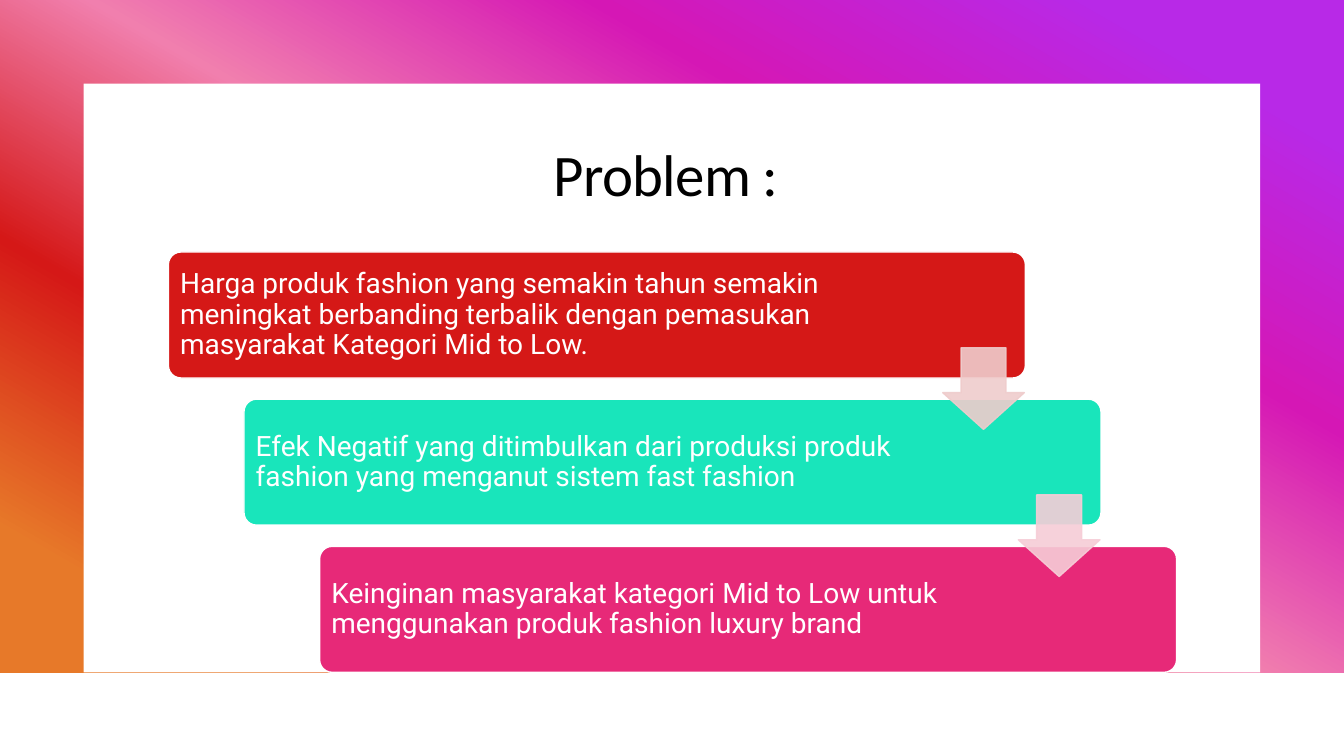
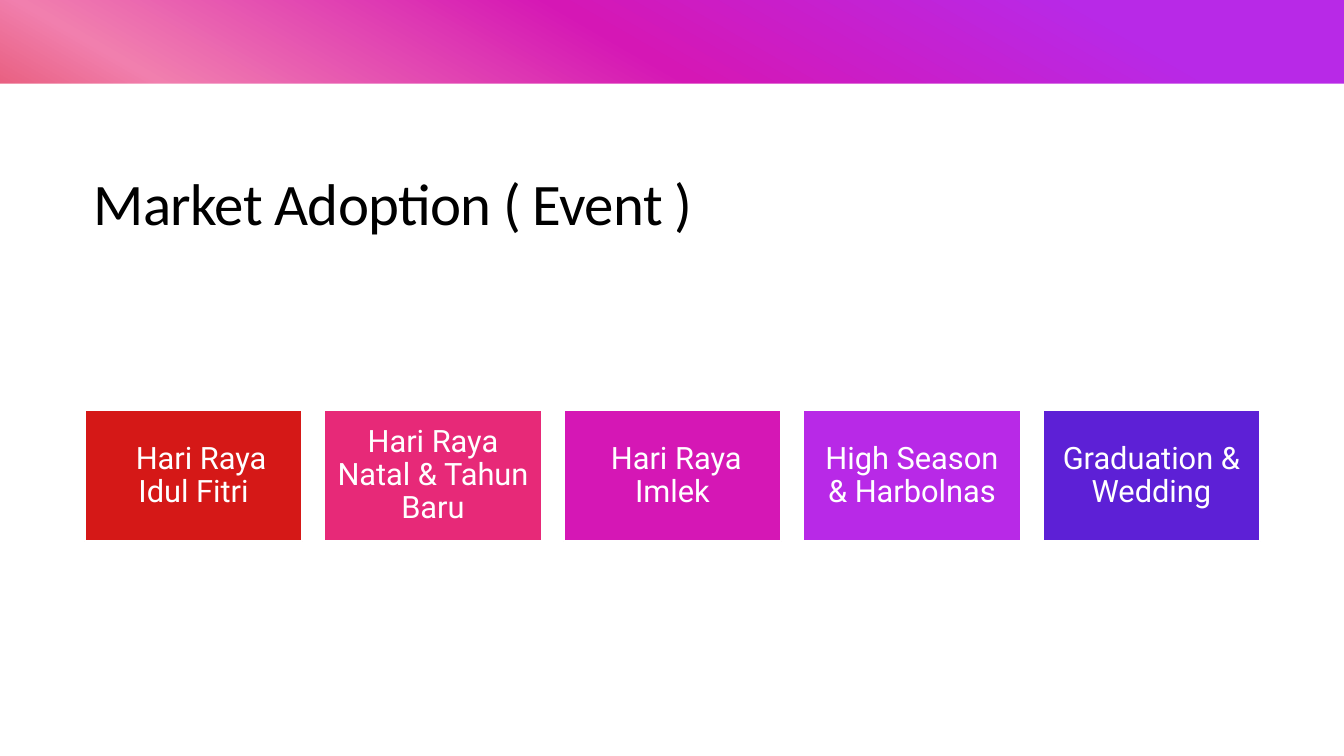
"""Build the problem and market adoption slides."""
from dataclasses import dataclass
from typing import Optional

from lxml.etree import SubElement
from pptx import Presentation
from pptx.dml.color import RGBColor
from pptx.enum.shapes import MSO_SHAPE
from pptx.enum.text import MSO_ANCHOR, MSO_AUTO_SIZE, PP_ALIGN
from pptx.oxml.ns import qn
from pptx.presentation import Presentation as Deck
from pptx.shapes.autoshape import Shape
from pptx.slide import Slide
from pptx.util import Inches, Pt

WHITE = RGBColor(0xFF, 0xFF, 0xFF)
BLACK = RGBColor(0x00, 0x00, 0x00)
RED = RGBColor(0xD5, 0x18, 0x17)
MINT = RGBColor(0x19, 0xE5, 0xBB)
PINK = RGBColor(0xE7, 0x29, 0x78)
MAGENTA = RGBColor(0xD5, 0x17, 0xB5)
PURPLE = RGBColor(0xB8, 0x29, 0xE7)
INDIGO = RGBColor(0x5D, 0x20, 0xD6)
ROSE = RGBColor(0xF1, 0x7F, 0xAE)
ORANGE = RGBColor(0xE7, 0x79, 0x29)
PALE_RED = RGBColor(0xEF, 0xCC, 0xCC)
PALE_PINK = RGBColor(0xF6, 0xCD, 0xD7)

BACKDROP_STOPS = ((10, PURPLE), (30, MAGENTA), (50, ROSE), (70, RED), (90, ORANGE))
SLIDE_WIDTH, SLIDE_HEIGHT = 13.33, 7.5
MARGIN = 0.83
TITLE_FONT, BODY_FONT = "Calibri", "Roboto"


@dataclass(frozen=True)
class Box:
    """Position and size in inches."""

    left: float
    top: float
    width: float
    height: float


@dataclass(frozen=True)
class Problem:
    """A step of the staircase and the colour of the arrow leaving it."""

    text: str
    color: RGBColor
    arrow: Optional[RGBColor] = None


@dataclass(frozen=True)
class Event:
    """A selling season tile."""

    text: str
    color: RGBColor


PROBLEMS = (
    Problem(
        "Harga produk fashion yang semakin tahun semakin meningkat berbanding "
        "terbalik dengan pemasukan masyarakat Kategori Mid to Low.",
        RED,
        PALE_RED,
    ),
    Problem(
        "Efek Negatif yang ditimbulkan dari produksi produk fashion yang "
        "menganut sistem fast fashion",
        MINT,
        PALE_PINK,
    ),
    Problem(
        "Keinginan masyarakat kategori Mid to Low untuk menggunakan produk "
        "fashion luxury brand",
        PINK,
    ),
)
EVENTS = (
    Event("  Hari Raya Idul Fitri", RED),
    Event("Hari Raya Natal & Tahun Baru", PINK),
    Event(" Hari Raya Imlek", MAGENTA),
    Event("High Season & Harbolnas", PURPLE),
    Event("Graduation & Wedding", INDIGO),
)


def add_block(
    slide: Slide,
    kind: MSO_SHAPE,
    box: Box,
    color: RGBColor,
    outline: Optional[RGBColor] = None,
    outline_width: float = 1,
) -> Shape:
    """Add a flat shape, outlined only when an outline colour is given."""
    block = slide.shapes.add_shape(
        kind, Inches(box.left), Inches(box.top), Inches(box.width), Inches(box.height)
    )
    block.shadow.inherit = False
    block.fill.solid()
    block.fill.fore_color.rgb = color
    if outline is None:
        block.line.fill.background()
    else:
        block.line.color.rgb = outline
        block.line.width = Pt(outline_width)
    return block


def write_label(
    block: Shape, text: str, size: int, align: PP_ALIGN, inset: float, right: float
) -> None:
    """Write white body text inside a block."""
    frame = block.text_frame
    frame.word_wrap = True
    frame.vertical_anchor = MSO_ANCHOR.MIDDLE
    frame.margin_left = frame.margin_top = frame.margin_bottom = Inches(inset)
    frame.margin_right = Inches(right)
    frame.text = text
    paragraph = frame.paragraphs[0]
    paragraph.alignment = align
    paragraph.line_spacing = 0.9
    paragraph.font.name = BODY_FONT
    paragraph.font.size = Pt(size)
    paragraph.font.color.rgb = WHITE


def add_backdrop(slide: Slide, height: float, panel: Box) -> None:
    """Draw the gradient with a white panel over it."""
    backdrop = add_block(
        slide, MSO_SHAPE.RECTANGLE, Box(0, 0, SLIDE_WIDTH, height), PURPLE
    )
    backdrop.fill.gradient()
    backdrop.fill.gradient_angle = 240
    stops = backdrop.element.spPr.find(f".//{qn('a:gsLst')}")
    stops.clear()
    for percent, color in BACKDROP_STOPS:
        stop = SubElement(stops, qn("a:gs"), pos=str(percent * 1000))
        SubElement(stop, qn("a:srgbClr"), val=str(color))
    add_block(slide, MSO_SHAPE.RECTANGLE, panel, WHITE)


def write_title(
    slide: Slide, text: str, box: Box, align: PP_ALIGN, anchor: MSO_ANCHOR
) -> None:
    """Place and format the title placeholder above the backdrop."""
    title = slide.shapes.title
    title.element.getparent().append(title.element)
    title.left, title.top = Inches(box.left), Inches(box.top)
    title.width, title.height = Inches(box.width), Inches(box.height)
    frame = title.text_frame
    frame.text = text
    frame.word_wrap = True
    frame.auto_size = MSO_AUTO_SIZE.NONE
    frame.vertical_anchor = anchor
    paragraph = frame.paragraphs[0]
    paragraph.alignment = align
    paragraph.line_spacing = 0.95
    paragraph.font.name = TITLE_FONT
    paragraph.font.size = Pt(42)
    paragraph.font.color.rgb = BLACK
    for run in title.element.iter(qn("a:r")):
        run.get_or_add_rPr().set("spc", "-50")


def add_arrow(slide: Slide, box: Box, color: RGBColor) -> None:
    """Add a slightly transparent arrow pointing to the next step."""
    arrow = add_block(slide, MSO_SHAPE.DOWN_ARROW, box, color, color)
    arrow.adjustments[0] = 0.55
    arrow.adjustments[1] = 0.45
    for tint in arrow.element.spPr.iter(qn("a:srgbClr")):
        SubElement(tint, qn("a:alpha"), val="90000")


def build_problem_slide(deck: Deck) -> None:
    """Show the problems as a descending staircase."""
    slide = deck.slides.add_slide(deck.slide_layouts[5])
    panel = Box(MARGIN, MARGIN, 11.67, 5.84)
    add_backdrop(slide, 6.67, panel)
    write_title(
        slide,
        "Problem : ",
        Box(1.67, 1.24, 10, 1.01),
        PP_ALIGN.CENTER,
        MSO_ANCHOR.MIDDLE,
    )
    step_right, step_down = 0.75, 1.46
    for index, problem in enumerate(PROBLEMS):
        box = Box(1.67 + index * step_right, 2.5 + index * step_down, 8.5, 1.25)
        step = add_block(
            slide, MSO_SHAPE.ROUNDED_RECTANGLE, box, problem.color, WHITE
        )
        step.adjustments[0] = 0.1
        write_label(step, problem.text, 20, PP_ALIGN.LEFT, 0.08, 1.65)
    for index, problem in enumerate(PROBLEMS):
        if problem.arrow is not None:
            box = Box(9.35 + index * step_right, 3.45 + index * step_down, 0.81, 0.81)
            add_arrow(slide, box, problem.arrow)


def build_event_slide(deck: Deck) -> None:
    """Show the selling seasons as a row of tiles."""
    slide = deck.slides.add_slide(deck.slide_layouts[5])
    panel = Box(0, MARGIN, SLIDE_WIDTH, SLIDE_HEIGHT - MARGIN)
    add_backdrop(slide, SLIDE_HEIGHT, panel)
    write_title(
        slide,
        "Market Adoption ( Event )",
        Box(MARGIN, 1.66, 11.67, 1.47),
        PP_ALIGN.LEFT,
        MSO_ANCHOR.TOP,
    )
    tile_width, gap = 2.16, 0.215
    for index, event in enumerate(EVENTS):
        box = Box(0.84 + index * (tile_width + gap), 4.07, tile_width, 1.3)
        tile = add_block(slide, MSO_SHAPE.RECTANGLE, box, event.color, WHITE, 1.5)
        write_label(tile, event.text, 22, PP_ALIGN.CENTER, 0.09, 0.09)


def main() -> None:
    """Build and save the deck."""
    deck = Presentation()
    deck.slide_width = Inches(SLIDE_WIDTH)
    deck.slide_height = Inches(SLIDE_HEIGHT)
    build_problem_slide(deck)
    build_event_slide(deck)
    deck.save("out.pptx")


if __name__ == "__main__":
    main()
